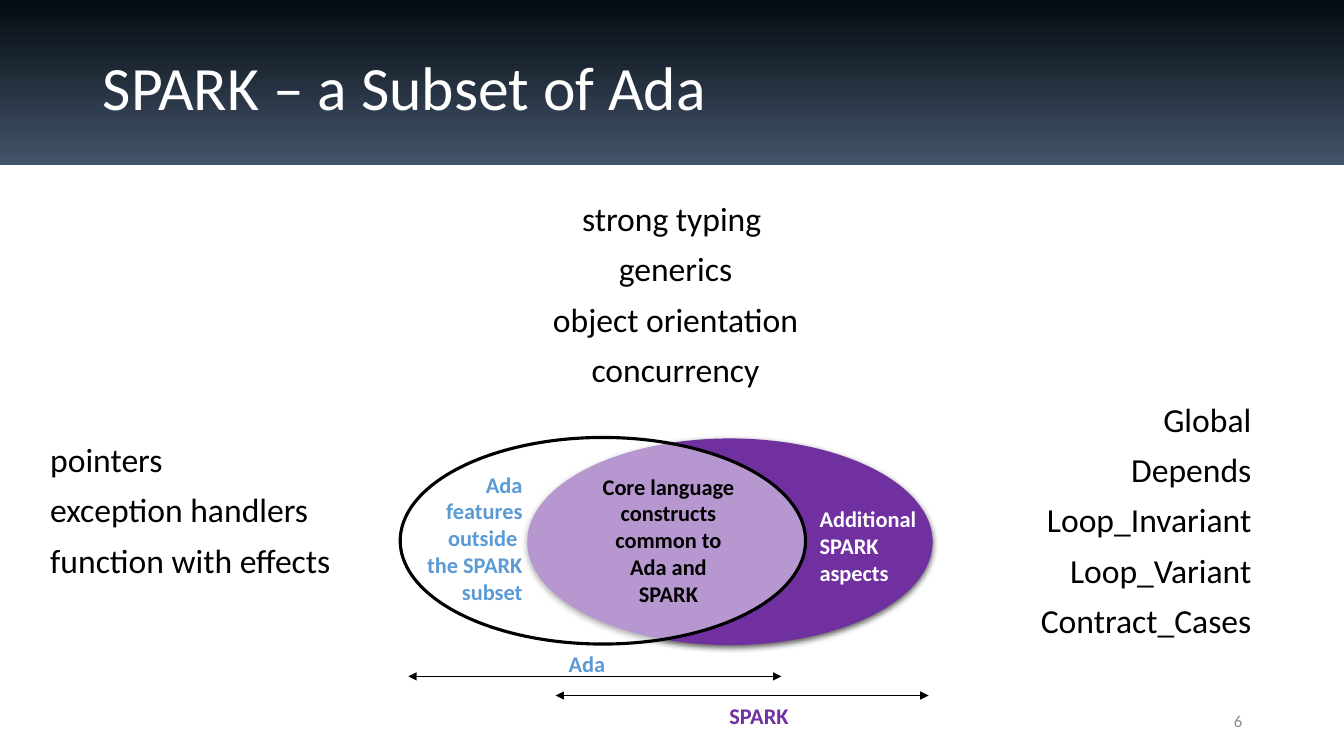
from lxml.etree import SubElement
from pptx import Presentation
from pptx.dml.color import RGBColor
from pptx.enum.shapes import MSO_CONNECTOR, MSO_SHAPE
from pptx.enum.text import MSO_ANCHOR, PP_ALIGN
from pptx.oxml.ns import qn
from pptx.util import Inches, Pt

WIDTH, HEIGHT = Inches(13.33), Inches(7.5)
FONT = "Calibri"
COLORS = {
    "band_top": "040B11",
    "band_bottom": "44546A",
    "white": "FFFFFF",
    "black": "000000",
    "ada": "5B9BD5",
    "spark": "7030A0",
    "number": "8C8C8C",
}
LEFT, CENTER, RIGHT = PP_ALIGN.LEFT, PP_ALIGN.CENTER, PP_ALIGN.RIGHT
ELLIPSE_SIZE = (30.16, 27.33)


def color(name):
    return RGBColor.from_string(COLORS[name])


def across(percent):
    return round(WIDTH * percent / 100)


def down(percent):
    return round(HEIGHT * percent / 100)


def box(left, top, width, height):
    """Turn percentages of the slide's size into lengths."""
    return across(left), down(top), across(width), down(height)


def write(frame, lines, size, color_name, align, bold=False, spacing=None, before=0):
    frame.word_wrap = True
    frame.text = "\n".join(lines)
    for paragraph in frame.paragraphs:
        paragraph.alignment = align
        paragraph.space_before = Pt(before)
        if spacing:
            paragraph.line_spacing = spacing
        font = paragraph.font
        font.name, font.size, font.bold = FONT, Pt(size), bold
        font.color.rgb = color(color_name)


def add_text(slide, area, lines, size, color_name, align, **style):
    frame = slide.shapes.add_textbox(*box(*area)).text_frame
    write(frame, lines, size, color_name, align, **style)
    return frame


def add_feature_list(slide, area, lines, align):
    add_text(slide, area, lines, 24, "black", align, spacing=0.9, before=10)


def add_label(slide, area, lines, color_name, align):
    add_text(slide, area, lines, 16, color_name, align, bold=True)


def add_ellipse(slide, left, top, fill_name):
    ellipse = slide.shapes.add_shape(MSO_SHAPE.OVAL, *box(left, top, *ELLIPSE_SIZE))
    ellipse.shadow.inherit = False
    ellipse.fill.solid()
    ellipse.fill.fore_color.rgb = color(fill_name)
    ellipse.line.fill.background()
    return ellipse


def add_soft_shadow(shape):
    effects = shape._element.spPr.find(qn("a:effectLst"))
    shadow = SubElement(effects, qn("a:outerShdw"), blurRad=str(Pt(4.5)),
                        dist=str(Pt(1.5)), dir="5400000", rotWithShape="0")
    tint = SubElement(shadow, qn("a:srgbClr"), val=COLORS["black"])
    SubElement(tint, qn("a:alpha"), val="63000")


def add_span_arrow(slide, start, end, top):
    arrow = slide.shapes.add_connector(
        MSO_CONNECTOR.STRAIGHT, across(start), down(top), across(end), down(top))
    arrow.line.color.rgb = color("black")
    arrow.line.width = Pt(0.75)
    line = arrow.line._get_or_add_ln()
    for tag in ("a:headEnd", "a:tailEnd"):
        SubElement(line, qn(tag), type="triangle")
    SubElement(arrow._element.spPr, qn("a:effectLst"))


def add_title_band(slide):
    title = slide.shapes.title
    title.left, title.top, title.width, title.height = box(6.9, 5.33, 86.25, 13.2)
    write(title.text_frame, ["SPARK – a Subset of Ada"], 44, "white", LEFT, spacing=0.9)
    title.text_frame.vertical_anchor = MSO_ANCHOR.MIDDLE

    band = slide.shapes.add_shape(MSO_SHAPE.RECTANGLE, *box(0, 0, 100, 21.87))
    band.shadow.inherit = False
    band.line.fill.background()
    band.fill.gradient()
    band.fill.gradient_angle = 270
    for stop, name in zip(band.fill.gradient_stops, ("band_top", "band_bottom")):
        stop.color.rgb = color(name)
    title._element.addprevious(band._element)


def add_venn_diagram(slide):
    # Overlapping language sets
    add_soft_shadow(add_ellipse(slide, 39.23, 58, "spark"))
    ada = add_ellipse(slide, 29.78, 57.87, "white")
    ada.line.color.rgb = color("black")
    ada.line.width = Pt(2.25)
    fill_color = ada._element.spPr.find(qn("a:solidFill"))[0]
    SubElement(fill_color, qn("a:alpha"), val="50000")

    # Labels inside the sets
    add_label(slide, (28.06, 61.6, 11.55, 19.33),
              ["Ada", "features outside ", "the SPARK subset"], "ada", RIGHT)
    add_label(slide, (43.96, 61.87, 11.55, 19.33),
              ["Core language constructs common to Ada and SPARK"], "black", CENTER)
    add_label(slide, (60.24, 66.13, 9.15, 12.13),
              ["Additional SPARK aspects"], "white", LEFT)

    # Extent of each language
    add_span_arrow(slide, 30.38, 58.14, 89.47)
    add_label(slide, (41.34, 85.33, 4.43, 4.93), ["Ada"], "ada", RIGHT)
    add_span_arrow(slide, 41.34, 69.09, 92)
    add_label(slide, (52.29, 92.27, 7.13, 4.93), ["SPARK"], "spark", RIGHT)


def main():
    presentation = Presentation()
    presentation.slide_width, presentation.slide_height = WIDTH, HEIGHT
    slide = presentation.slides.add_slide(presentation.slide_layouts[5])

    add_title_band(slide)
    add_venn_diagram(slide)

    # Examples around the diagram
    add_feature_list(slide, (3, 58, 23.18, 39.87),
                     ["pointers", "exception handlers", "function with effects"], LEFT)
    add_feature_list(slide, (70.67, 52.67, 23.18, 37.2),
                     ["Global", "Depends", "Loop_Invariant", "Loop_Variant",
                      "Contract_Cases"], RIGHT)
    add_feature_list(slide, (29.18, 26.13, 42.16, 39.87),
                     ["strong typing ", "generics", "object orientation",
                      "concurrency"], CENTER)

    # Slide number
    number = add_text(slide, (70.67, 92.67, 22.5, 5.33), ["6"], 12, "number", RIGHT)
    number.vertical_anchor = MSO_ANCHOR.MIDDLE

    presentation.save("out.pptx")


main()
